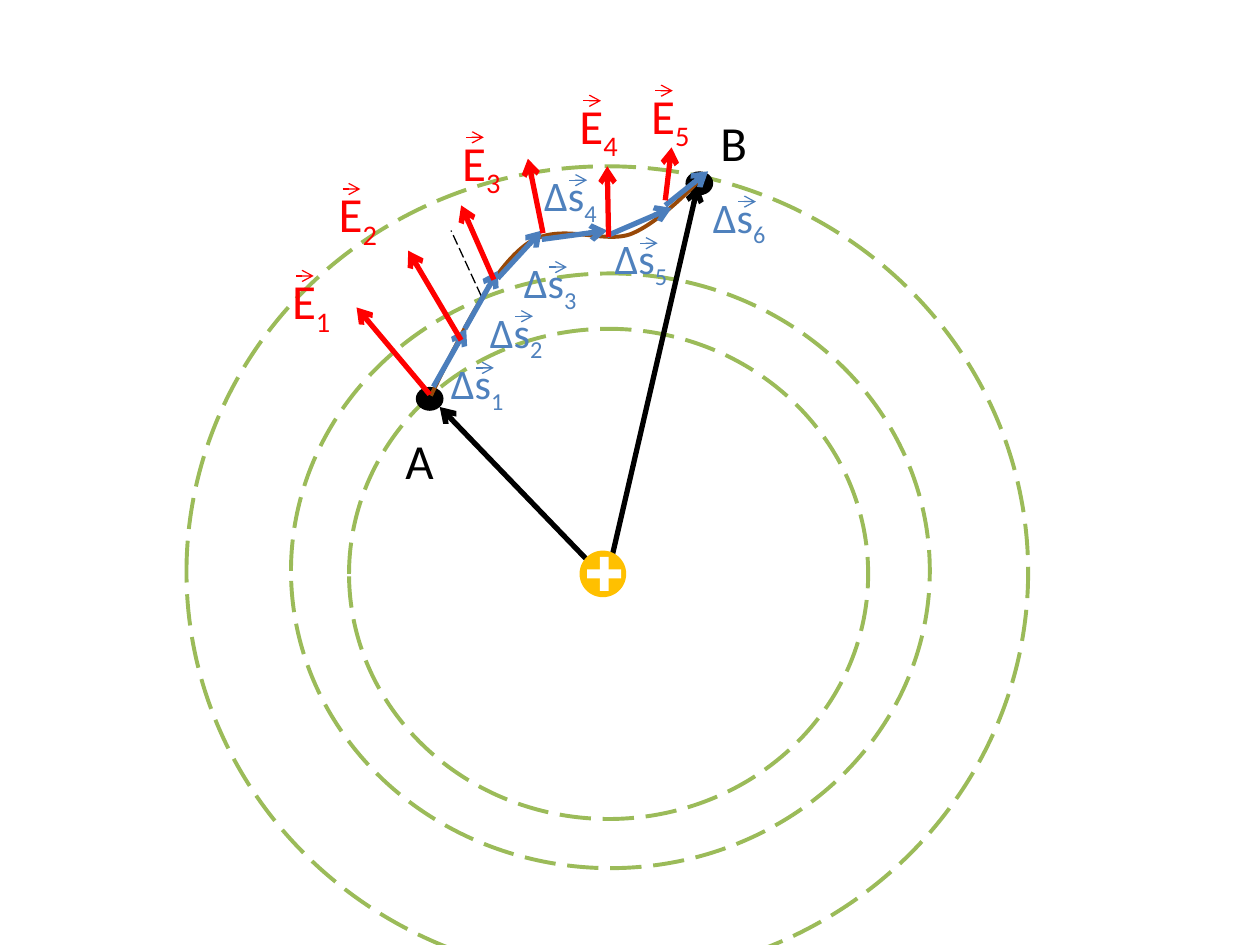
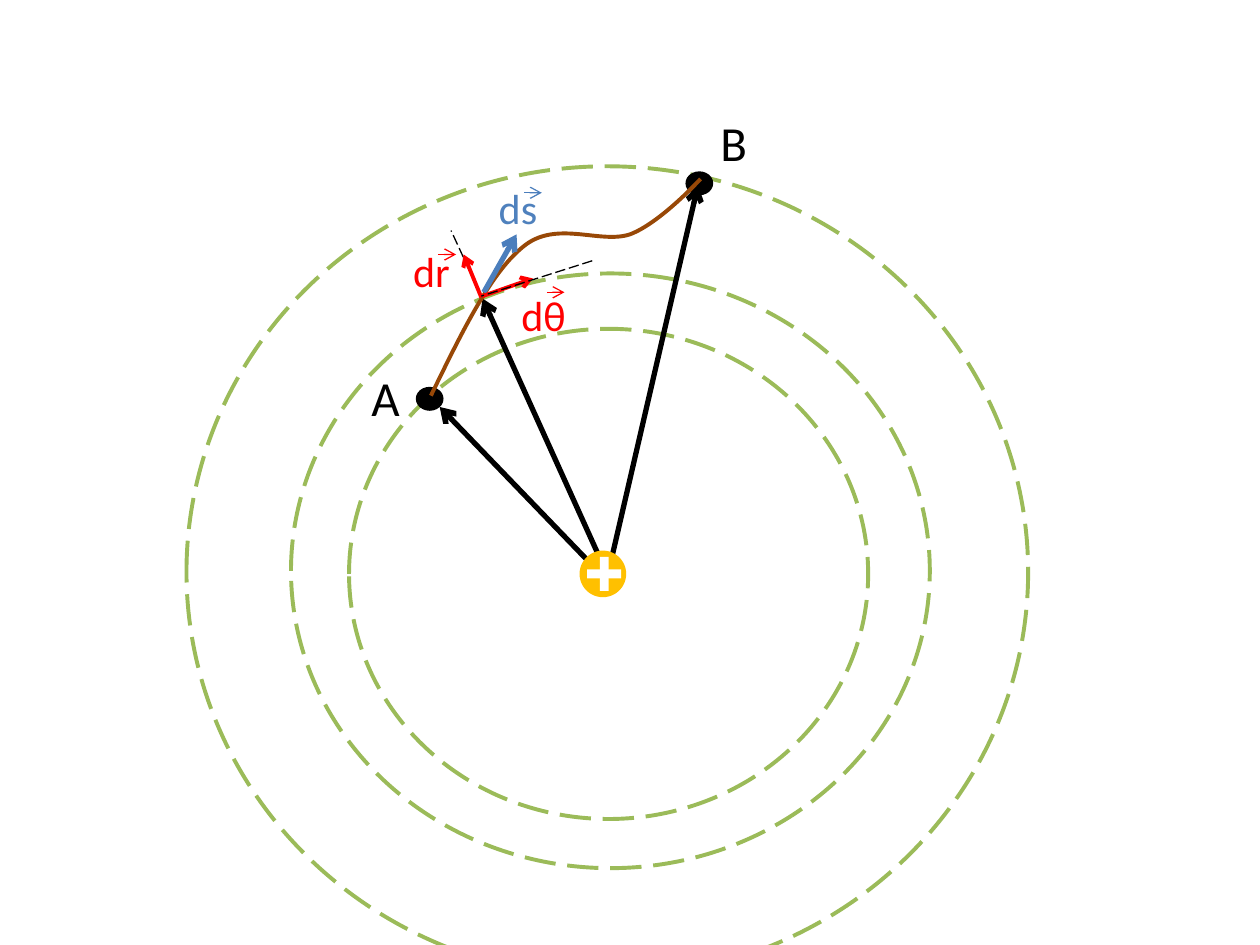
from pptx import Presentation
from pptx.dml.color import RGBColor
from pptx.enum.dml import MSO_LINE
from pptx.enum.shapes import MSO_CONNECTOR, MSO_SHAPE
from pptx.enum.text import MSO_AUTO_SIZE
from pptx.oxml.ns import qn
from pptx.util import Inches, Pt
from lxml import etree

OVAL, RECT = MSO_SHAPE.OVAL, MSO_SHAPE.RECTANGLE
STRAIGHT, LONG_DASH = MSO_CONNECTOR.STRAIGHT, MSO_LINE.LONG_DASH
FIT_SHAPE = MSO_AUTO_SIZE.SHAPE_TO_FIT_TEXT
FONT = "Calibri"
COLORS = {
    "black": "000000", "white": "FFFFFF", "green": "9BBB59", "brown": "984807",
    "red": "FF0000", "blue": "4B7EBC", "blue_text": "4F81BD", "gold": "FFC000",
}


def rgb(name):
    return RGBColor.from_string(COLORS[name])


def add_run(p, text, size=24, color="black", baseline=None):
    r = p.add_run()
    r.text = text
    r.font.name, r.font.size = FONT, Pt(size)
    r.font.color.rgb = rgb(color)
    if baseline:
        r.font._element.set("baseline", str(baseline * 1000))


class Diagram:
    def __init__(self, prs):
        self.prs = prs
        self.shapes = None

    def new_slide(self):
        s = self.prs.slides.add_slide(self.prs.slide_layouts[6])
        self.shapes = s.shapes

    def stroke(self, shape, color, width, dash=None):
        shape.line.color.rgb = rgb(color)
        shape.line.width = Pt(width)
        if dash:
            shape.line.dash_style = dash

    def shape(self, kind, x, y, w, h, fill=None, line=None, rotation=0):
        sp = self.shapes.add_shape(kind, Inches(x), Inches(y), Inches(w), Inches(h))
        sp.shadow.inherit = False
        sp.rotation = rotation
        if fill:
            sp.fill.solid()
            sp.fill.fore_color.rgb = rgb(fill)
        else:
            sp.fill.background()
        if line:
            self.stroke(sp, line, 2.25, LONG_DASH)
        else:
            sp.line.fill.background()

    def line(self, start, end, color="black", width=3, dash=None, arrow=True):
        ends = [Inches(v) for v in (*start, *end)]
        c = self.shapes.add_connector(STRAIGHT, *ends)
        self.stroke(c, color, width, dash)
        sp_pr = c._element.spPr
        if arrow:
            etree.SubElement(sp_pr.find(qn("a:ln")), qn("a:tailEnd"), type="arrow")
        etree.SubElement(sp_pr, qn("a:effectLst"))

    def curve(self, points, color, width):
        """Draw a Bézier path: a start, then three points for each segment."""
        pts = [(Inches(x), Inches(y)) for x, y in points]
        builder = self.shapes.build_freeform(*pts[0])
        builder.add_line_segments(pts[1:], close=False)
        sp = builder.convert_to_shape()
        sp.shadow.inherit = False
        sp.fill.background()
        self.stroke(sp, color, width)
        corners = list(sp._element.iter(qn("a:lnTo")))
        for i in range(0, len(corners), 3):
            bezier = etree.Element(qn("a:cubicBezTo"))
            corners[i].addprevious(bezier)
            for corner in corners[i:i + 3]:
                bezier.append(corner[0])
                corner.getparent().remove(corner)

    def text(self, text, x, y, w, h, sub=None, **fmt):
        tb = self.shapes.add_textbox(Inches(x), Inches(y), Inches(w), Inches(h))
        tf = tb.text_frame
        tf.word_wrap = False
        tf.auto_size = FIT_SHAPE
        p = tf.paragraphs[0]
        add_run(p, text, **fmt)
        if sub:
            add_run(p, sub, baseline=-25, **fmt)

    def point_name(self, text, x, y):
        self.text(text, x, y, 0.43, 0.57, size=28)

    def vector_name(self, text, x, y, w, h, dx, dy, sub=None, size=24, color="red"):
        """Group a symbol with the small arrow above it."""
        slide_shapes = self.shapes
        self.shapes = slide_shapes.add_group_shape().shapes
        text_color = "blue_text" if color == "blue" else color
        self.text(text, x, y, w, h, sub=sub, size=size, color=text_color)
        self.line((x + dx, y + dy), (x + dx + 0.14, y + dy), color, 0.75)
        self.shapes = slide_shapes

    def field(self, a_name, radii=()):
        """Charge, equipotential circles and the path from A to B."""
        for box in EQUIPOTENTIALS:
            self.shape(OVAL, *box, line="green")
        for x, y in POINTS:
            self.shape(OVAL, x, y, 0.22, 0.19, fill="black")
        for start, end in (*RADII, *radii):
            self.line(start, end)
        self.curve(PATH, "brown", 2.25)
        self.line((3.82, 2.35), (3.58, 1.83), width=0.75, dash=LONG_DASH, arrow=False)
        self.point_name("A", *a_name)
        self.point_name("B", 5.62, 0.84)
        self.shape(OVAL, 4.6, 4.37, 0.37, 0.37, fill="gold")
        for angle in (0, 90):
            self.shape(RECT, 4.66, 4.52, 0.27, 0.07, fill="white", rotation=angle)


# Shared geometry
EQUIPOTENTIALS = [(2.31, 2.17, 5.07, 4.72), (1.48, 1.32, 6.68, 6.44),
                  (2.77, 2.61, 4.12, 3.89)]
POINTS = [(3.3, 3.07), (5.44, 1.36)]
RADII = [((4.82, 4.61), (3.49, 3.23)), ((4.82, 4.58), (5.54, 1.47))]
PATH = [(3.42, 3.14), (3.66, 2.65), (3.89, 2.17), (4.15, 1.96), (4.41, 1.74),
        (4.76, 1.94), (5, 1.86), (5.24, 1.77), (5.56, 1.42), (5.56, 1.42)]

# Slide 1: steps along the path and the field at each step
STEPS = [((3.44, 3.07), (3.7, 2.61)), ((3.69, 2.61), (3.95, 2.15)),
         ((3.95, 2.21), (4.3, 1.83)), ((4.3, 1.9), (4.82, 1.83)),
         ((4.82, 1.87), (5.33, 1.65)), ((5.28, 1.63), (5.62, 1.36))]
STEP_NAMES = [(3.48, 2.79), (3.79, 2.38), (4.06, 1.99),
              (4.22, 1.3), (4.78, 1.8), (5.56, 1.47)]
FIELDS = [((3.41, 3.13), (2.83, 2.44)), ((3.66, 2.7), (3.24, 1.99)),
          ((3.92, 2.22), (3.66, 1.63)), ((4.31, 1.85), (4.19, 1.26)),
          ((4.83, 1.88), (4.82, 1.32)), ((5.28, 1.59), (5.33, 1.17))]
FIELD_NAMES = [(2.22, 2.1), (2.59, 1.41), (3.57, 1), (4.5, 0.71), (5.07, 0.63)]


def steps_slide(d):
    d.new_slide()
    d.field(a_name=(3.12, 3.37))
    for start, end in STEPS:
        d.line(start, end, "blue")
    for start, end in FIELDS:
        d.line(start, end, "red")
    for i, (x, y) in enumerate(STEP_NAMES, 1):
        d.vector_name("Δs", x, y, 0.65, 0.5, 0.3, 0.13, sub=str(i), color="blue")
    for i, (x, y) in enumerate(FIELD_NAMES, 1):
        d.vector_name("E", x, y, 0.53, 0.57, 0.13, 0.09, sub=str(i), size=28)


def components_slide(d):
    d.new_slide()
    d.field(a_name=(2.85, 2.87), radii=[((4.82, 4.56), (3.83, 2.37))])
    # Displacement and its radial and angular parts
    d.line((3.84, 2.32), (4.1, 1.86), "blue")
    d.line((3.82, 2.36), (3.68, 2.02), "red", 2.25)
    d.line((3.83, 2.35), (4.23, 2.21), "red", 2.25)
    d.line((4.7, 2.07), (3.82, 2.35), width=0.75, dash=LONG_DASH, arrow=False)
    d.vector_name("ds", 3.86, 1.4, 0.51, 0.5, 0.3, 0.13, color="blue")
    d.vector_name("dθ", 4.04, 2.25, 0.55, 0.5, 0.3, 0.07)
    d.vector_name("dr", 3.18, 1.9, 0.5, 0.5, 0.3, 0.12)


def main():
    prs = Presentation()
    prs.slide_width, prs.slide_height = Inches(10), Inches(7.5)
    d = Diagram(prs)
    steps_slide(d)
    components_slide(d)
    prs.save("out.pptx")


if __name__ == "__main__":
    main()
